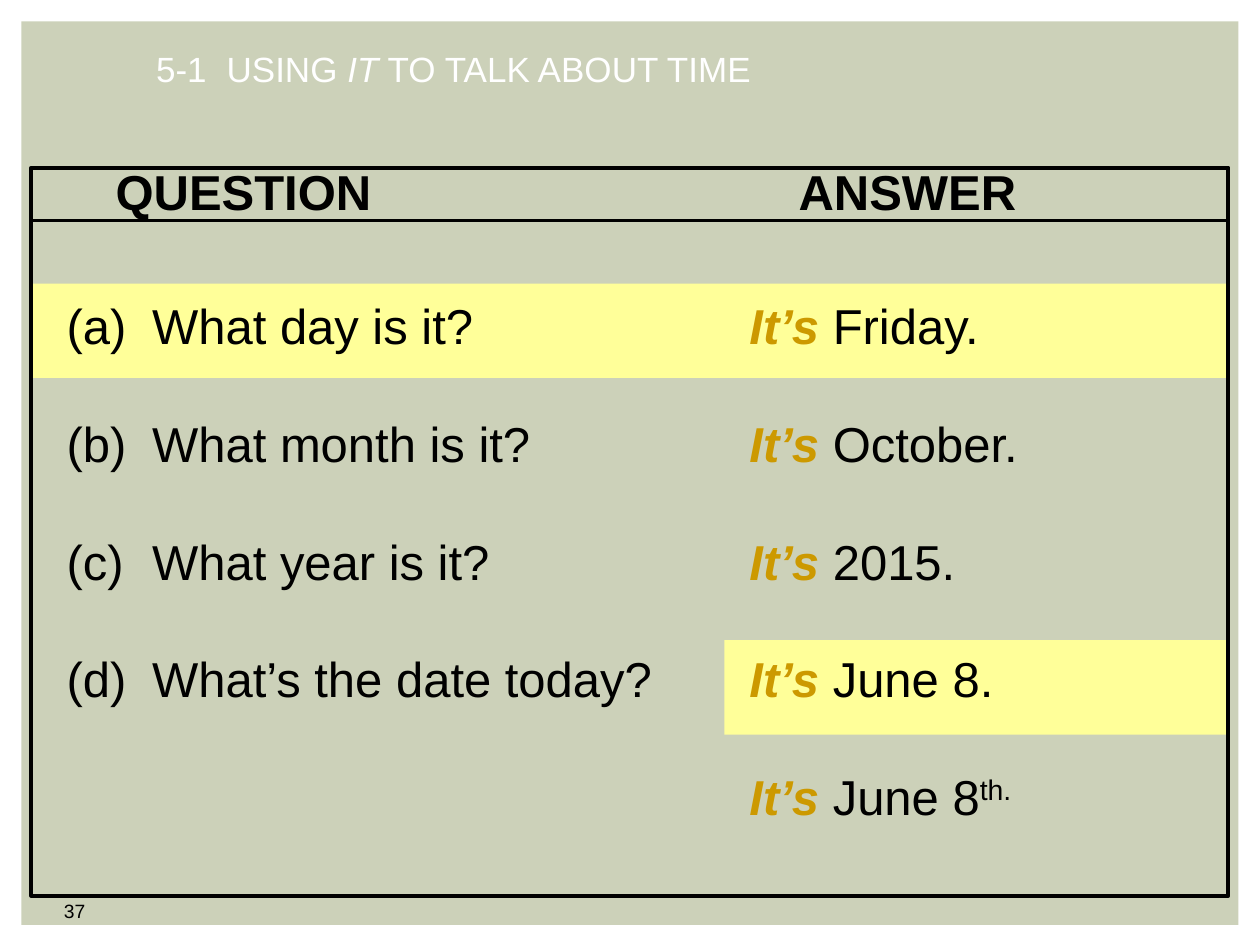
from pptx import Presentation
from pptx.dml.color import RGBColor
from pptx.enum.shapes import MSO_CONNECTOR, MSO_SHAPE
from pptx.enum.text import MSO_ANCHOR
from pptx.oxml.ns import qn
from pptx.util import Inches, Pt
from lxml import etree

RECT = MSO_SHAPE.RECTANGLE
STRAIGHT = MSO_CONNECTOR.STRAIGHT
TOP, MIDDLE = MSO_ANCHOR.TOP, MSO_ANCHOR.MIDDLE
FONT = "Arial"
COLORS = {"panel": "CCD1B9", "band": "FFFF99", "accent": "CC9900",
          "ink": "000000", "white": "FFFFFF"}
ROW_GAP = 33.6
BAND_H = 0.75
ANSWER_X = 5.75

ITS = ("It’s ", {"bold": True, "italic": True, "color": "accent"})
QUESTIONS = ["(a)\tWhat day is it?", "(b)\tWhat month is it?",
             "(c)\tWhat year is it?", "(d)\tWhat’s the date today?"]
ANSWERS = [[ITS, (day, {})] for day in ("Friday.", "October.", "2015.", "June 8.")]
ANSWERS.append([ITS, ("June 8", {}), ("th.", {"raised": True})])


def add_rect(s, x, y, w, h, fill=None, line=None):
    sp = s.shapes.add_shape(RECT, Inches(x), Inches(y), Inches(w), Inches(h))
    sp.shadow.inherit = False
    if fill:
        sp.fill.solid()
        sp.fill.fore_color.rgb = RGBColor.from_string(COLORS[fill])
    else:
        sp.fill.background()
    if line:
        sp.line.color.rgb = RGBColor.from_string(COLORS[line])
        sp.line.width = Pt(2.25)
    else:
        sp.line.fill.background()


def add_rule(s, x, y, w):
    line = s.shapes.add_connector(STRAIGHT, Inches(x), Inches(y), Inches(x + w), Inches(y))
    line.line.color.rgb = RGBColor.from_string(COLORS["ink"])
    line.line.width = Pt(2.25)
    etree.SubElement(line._element.spPr, qn("a:effectLst"))


def add_run(p, text, size, color="ink", bold=False, italic=False, raised=False):
    r = p.add_run()
    r.text = text
    r.font.name, r.font.size = FONT, Pt(size)
    r.font.bold, r.font.italic = bold, italic
    r.font.color.rgb = RGBColor.from_string(COLORS[color])
    if raised:
        r.font._element.set("baseline", "30000")


def add_text(s, x, y, w, h, paragraphs, size=28, gap=0, hanging=0, anchor=TOP, **style):
    """Each paragraph is a string or a list of (text, format) runs."""
    tf = s.shapes.add_textbox(Inches(x), Inches(y), Inches(w), Inches(h)).text_frame
    tf.word_wrap = True
    tf.vertical_anchor = anchor
    for i, runs in enumerate(paragraphs):
        p = tf.add_paragraph() if i else tf.paragraphs[0]
        if i:
            p.space_before = Pt(gap)
        if hanging:
            pPr = p._p.get_or_add_pPr()
            pPr.set("marL", str(Inches(hanging)))
            pPr.set("indent", str(-Inches(hanging)))
        for text, fmt in [(runs, {})] if isinstance(runs, str) else runs:
            add_run(p, text, size, **{**style, **fmt})


def add_title(s, x, y, w, h):
    title = [("5-1\tUSING ", {}), ("IT", {"italic": True}), (" TO TALK ABOUT TIME", {})]
    add_text(s, x, y, w, h, [title], size=20, hanging=0.56, color="white")


def add_question_table(s, x, y, w, h):
    right = x + w
    add_rect(s, x, y + 0.92, w, BAND_H, fill="band")
    add_rect(s, ANSWER_X, y + 3.75, right - ANSWER_X, BAND_H, fill="band")
    rows_y = y + 0.97
    add_text(s, ANSWER_X + 0.1, rows_y, 2.6, 4.4, ANSWERS, gap=ROW_GAP)
    add_text(s, x + 0.18, rows_y, 5.2, 3.5, QUESTIONS, gap=ROW_GAP, hanging=0.68)
    add_rule(s, x, y + 0.42, w)
    for label, label_x in (("QUESTION", x + 0.57), ("ANSWER", ANSWER_X + 0.49)):
        add_text(s, label_x, y - 0.1, 2.5, 0.57, [label], bold=True)
    add_rect(s, x, y, w, h, line="ink")


def add_page_number(s, x, y, w, h):
    add_text(s, x, y, w, h, ["37"], size=11, anchor=MIDDLE)


def main():
    prs = Presentation()
    prs.slide_width, prs.slide_height = Inches(10), Inches(7.5)
    s = prs.slides.add_slide(prs.slide_layouts[6])
    add_rect(s, 0.17, 0.17, 9.66, 7.17, fill="panel")
    add_page_number(s, 0.41, 7.08, 2.33, 0.3)
    add_question_table(s, 0.25, 1.33, 9.5, 5.78)
    add_title(s, 1.14, 0.33, 7.81, 0.43)
    prs.save("out.pptx")


if __name__ == "__main__":
    main()
